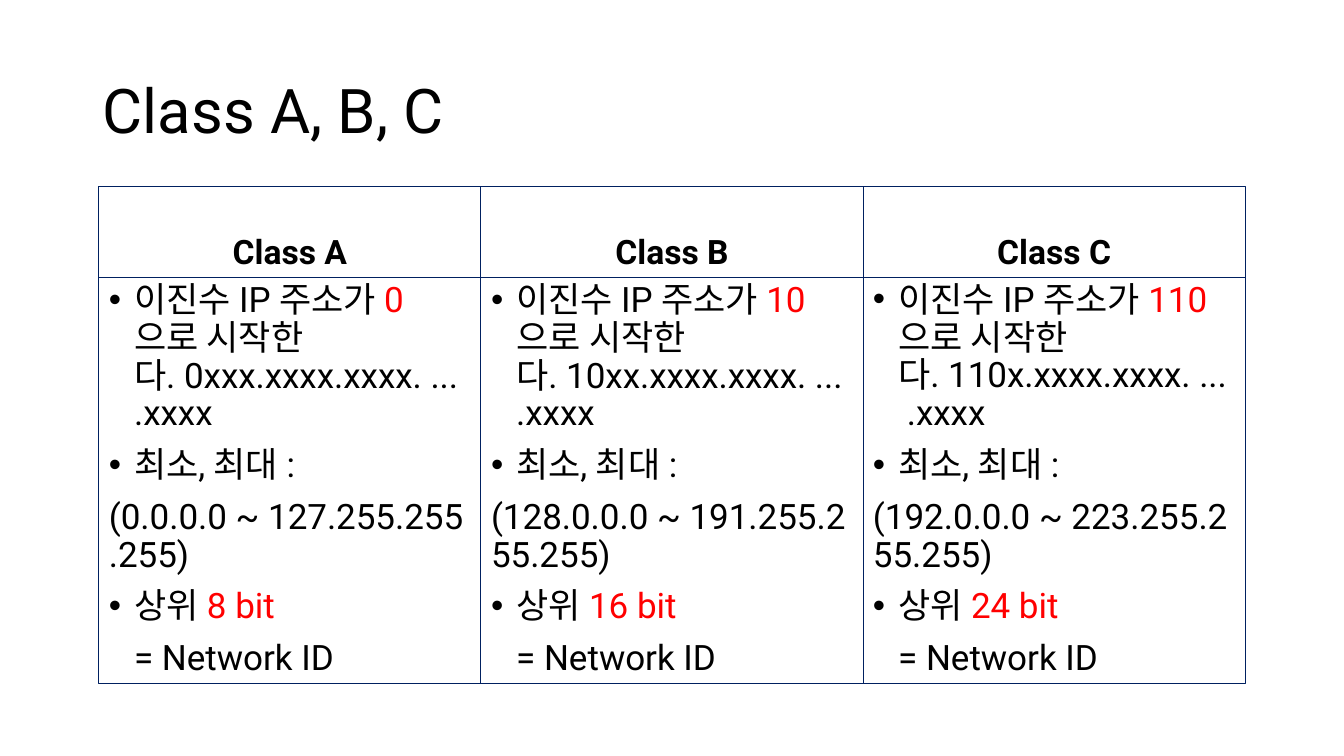
from dataclasses import dataclass

from lxml import etree
from pptx import Presentation
from pptx import util as u
from pptx.dml.color import RGBColor
from pptx.enum import text
from pptx.oxml import ns


@dataclass(frozen=True)
class Theme:
    font: str = "Roboto"
    ink: str = "000000"
    accent: str = "FF0000"
    border: str = "002060"
    title_size: int = 44
    heading_size: int = 24
    list_size: int = 25


THEME = Theme()
NO_BREAK_SPACE = chr(160)

# Column grid
LEFT, TOP, COLUMN_WIDTH = 0.98, 1.85, 3.79
HEADING_HEIGHT, LIST_HEIGHT = 0.9, 4.03
INDENT = 0.25

# Class name, leading bits, address pattern, address range, network bits
CLASSES = [
    ("Class A", "0", "0xxx", "(0.0.0.0 ~ 127.255.255.255)", "8 bit"),
    ("Class B", "10", "10xx", "(128.0.0.0 ~ 191.255.255.255)", "16 bit"),
    ("Class C", "110", "110x", "(192.0.0.0 ~ 223.255.255.255)", "24 bit"),
]


def format_run(run, size, color=THEME.ink, bold=False):
    run.font.name = THEME.font
    run.font.size = u.Pt(size)
    run.font.bold = bold
    run.font.color.rgb = RGBColor.from_string(color)
    east_asian = etree.SubElement(run.font._element, ns.qn("a:ea"))
    east_asian.set("typeface", THEME.font)


def format_paragraph(paragraph, bullet=False, margin=0.0):
    paragraph.line_spacing = 0.9
    paragraph.space_before = u.Pt(10)
    properties = paragraph._p.get_or_add_pPr()
    properties.set("marL", str(u.Inches(margin)))
    properties.set("indent", str(u.Inches(-INDENT if bullet else 0)))
    if bullet:
        font = etree.SubElement(properties, ns.qn("a:buFont"))
        font.set("typeface", "Arial")
        etree.SubElement(properties, ns.qn("a:buChar")).set("char", "•")
    else:
        etree.SubElement(properties, ns.qn("a:buNone"))


def place(shape, left, top, width, height, anchor):
    shape.left, shape.top = u.Inches(left), u.Inches(top)
    shape.width, shape.height = u.Inches(width), u.Inches(height)
    frame = shape.text_frame
    frame.word_wrap = True
    frame.auto_size = text.MSO_AUTO_SIZE.NONE
    frame.vertical_anchor = anchor


def outline(shape):
    shape.line.color.rgb = RGBColor.from_string(THEME.border)
    shape.line.width = u.Pt(0.75)


def fill_title(shape, words):
    place(shape, 0.92, 0.4, 11.5, 1.45, text.MSO_ANCHOR.MIDDLE)
    shape.text_frame.text = words
    paragraph = shape.text_frame.paragraphs[0]
    paragraph.alignment = text.PP_ALIGN.LEFT
    paragraph.line_spacing = 0.9
    format_run(paragraph.runs[0], THEME.title_size)


def fill_heading(shape, left, words):
    place(shape, left, TOP, COLUMN_WIDTH, HEADING_HEIGHT, text.MSO_ANCHOR.BOTTOM)
    outline(shape)
    shape.text_frame.text = words
    paragraph = shape.text_frame.paragraphs[0]
    paragraph.alignment = text.PP_ALIGN.CENTER
    format_paragraph(paragraph)
    format_run(paragraph.runs[0], THEME.heading_size, bold=True)


def fill_list(shape, left, bits, pattern, address_range, network_bits):
    place(shape, left, TOP + HEADING_HEIGHT, COLUMN_WIDTH, LIST_HEIGHT,
          text.MSO_ANCHOR.TOP)
    outline(shape)
    # Each row: bullet, left margin, runs of words and colour
    rows = [
        (True, INDENT, [("이진수 IP 주소가 ", THEME.ink), (bits, THEME.accent),
                        (f"으로 시작한다. {pattern}.xxxx.xxxx. ... .xxxx", THEME.ink)]),
        (True, INDENT, [("최소, 최대 : ", THEME.ink)]),
        (False, 0, [(address_range, THEME.ink)]),
        (True, INDENT, [("상위 ", THEME.ink), (network_bits, THEME.accent)]),
        (False, INDENT, [("= Network ID", THEME.ink)]),
    ]
    frame = shape.text_frame
    for number, (bullet, margin, pieces) in enumerate(rows):
        paragraph = frame.add_paragraph() if number else frame.paragraphs[0]
        paragraph.alignment = text.PP_ALIGN.LEFT
        format_paragraph(paragraph, bullet, margin)
        for words, color in pieces:
            run = paragraph.add_run()
            run.text = words.replace(" ", NO_BREAK_SPACE)
            format_run(run, THEME.list_size, color)


def main():
    presentation = Presentation()
    presentation.slide_width = u.Inches(13.33)
    presentation.slide_height = u.Inches(7.5)
    comparison_layout = presentation.slide_layouts[4]
    slide = presentation.slides.add_slide(comparison_layout)
    fill_title(slide.shapes.title, "Class A, B, C")

    # The layout holds two columns; text boxes make the third
    boxes = [slide.placeholders[index] for index in range(1, 5)]
    boxes += [slide.shapes.add_textbox(0, 0, 0, 0) for _ in range(2)]
    for column, (name, *facts) in enumerate(CLASSES):
        left = LEFT + column * COLUMN_WIDTH
        fill_heading(boxes[2 * column], left, name)
        fill_list(boxes[2 * column + 1], left, *facts)

    presentation.save("out.pptx")


if __name__ == "__main__":
    main()
